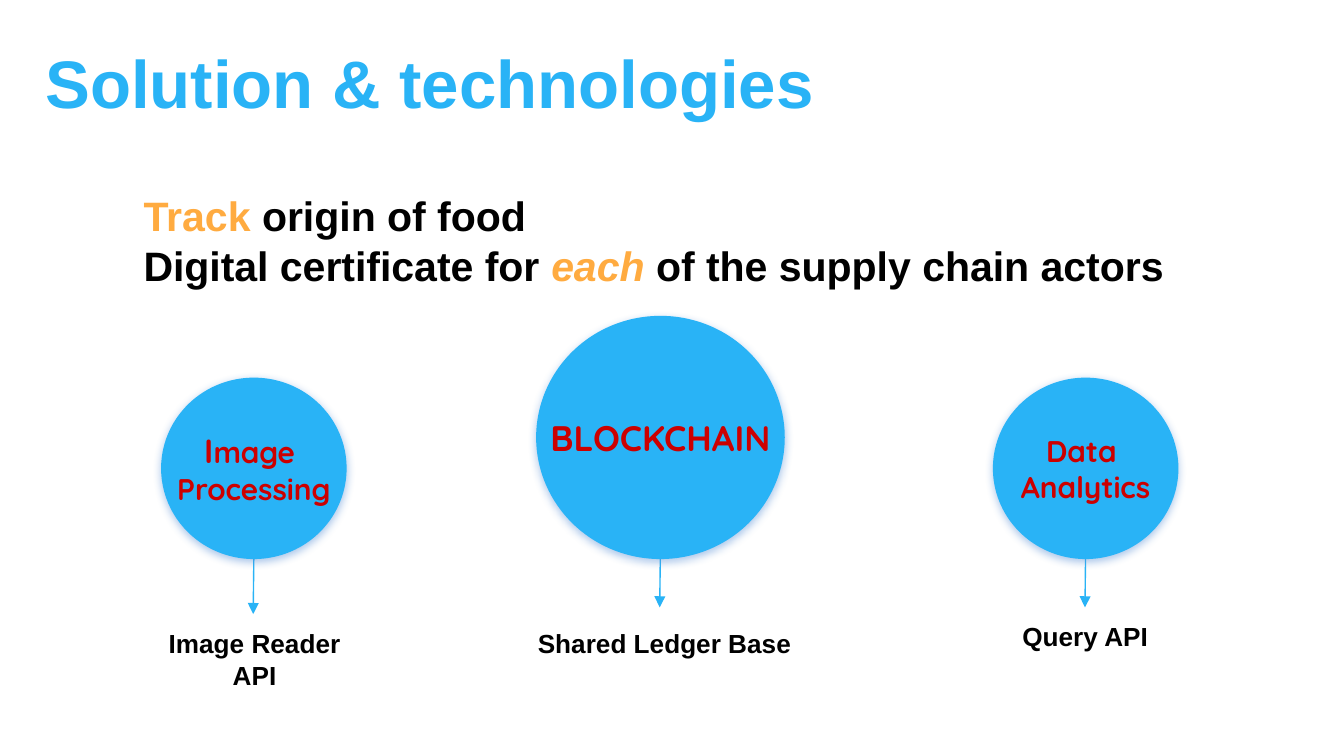
import pptx
import pptx.util
import pptx.dml.color
import pptx.enum.shapes
import pptx.enum.text
import pptx.oxml
import pptx.oxml.ns
from lxml import etree

Pt = pptx.util.Pt
ALIGN = pptx.enum.text.PP_ALIGN
ANCHOR = pptx.enum.text.MSO_ANCHOR

THEME = {
    "blue": "29B3F6", "orange": "FFAB40", "red": "CC0000", "black": "000000",
    "shadow": "538CD5", "body_font": "Arial", "circle_font": "Quicksand",
    "title": 36, "lead": 22, "hub": 19, "initial": 18, "circle": 16, "tech": 14,
}

# Paragraphs are lists of (text, run overrides).
TITLE = [[("Solution & technologies", {})]]
LEAD = [
    [("Track ", {"color": "orange"}), ("origin of food", {})],
    [("Digital certificate for ", {}), ("each", {"color": "orange", "italic": True}),
     (" of the supply chain actors", {})],
]
PILLARS = [
    {"center": 136, "size": (99.4, 97.2), "arrow": (268.6, 329),
     "label": [[("I", {"size": "initial"}), ("mage ", {})], [("Processing", {})]],
     "tech": "Image Reader API", "tech_box": (136.4, 329, 133)},
    {"center": 353.8, "size": (133.2, 130.3), "arrow": (265.7, 325.4),
     "label": [[("BLOCKCHAIN", {"size": "hub"})]],
     "tech": "Shared Ledger Base", "tech_box": (356, 329, 165)},
    {"center": 581.6, "size": (99.4, 97.2), "arrow": (265.7, 325.4),
     "label": [[("Data ", {})], [(" Analytics ", {})]],
     "tech": "Query API", "tech_box": (581.4, 325.4, 113)},
]
CIRCLE_BOTTOM = 299.5
LABEL_W, LABEL_H = 175, 63.4
TECH_H = 35.3


def rgb(name):
    """Return a theme colour."""
    return pptx.dml.color.RGBColor.from_string(THEME[name])


def add_text(slide, box, paragraphs, *, size, color="black", font="body_font",
             italic=False, align=ALIGN.LEFT, anchor=ANCHOR.TOP):
    """Add a bold text box; run overrides win over the given format."""
    tf = slide.shapes.add_textbox(*map(Pt, box)).text_frame
    tf.word_wrap = True
    tf.vertical_anchor = anchor
    tf.margin_left = tf.margin_right = tf.margin_top = tf.margin_bottom = Pt(7.2)
    for i, runs in enumerate(paragraphs):
        p = tf.add_paragraph() if i else tf.paragraphs[0]
        p.alignment = align
        for text, own in runs:
            r = p.add_run()
            r.text = text
            r.font.name = THEME[font]
            r.font.size = Pt(THEME[own.get("size", size)])
            r.font.bold = True
            r.font.italic = own.get("italic", italic)
            r.font.color.rgb = rgb(own.get("color", color))


def add_arrow(slide, center, top, bottom):
    """Add a thin, slightly slanted downward arrow."""
    sp = slide.shapes.add_connector(
        pptx.enum.shapes.MSO_CONNECTOR.STRAIGHT,
        Pt(center + 0.35), Pt(top), Pt(center - 0.35), Pt(bottom))
    sp.line.color.rgb = rgb("blue")
    sp.line.width = Pt(0.75)
    etree.SubElement(sp.line._get_or_add_ln(), pptx.oxml.ns.qn("a:tailEnd"),
                     type="triangle")
    etree.SubElement(sp._element.spPr, pptx.oxml.ns.qn("a:effectLst"))


def add_circle(slide, center, width, height):
    """Add a circle with a soft shadow, standing on the common base line."""
    sp = slide.shapes.add_shape(
        pptx.enum.shapes.MSO_SHAPE.OVAL, Pt(center - width / 2),
        Pt(CIRCLE_BOTTOM - height), Pt(width), Pt(height))
    sp.fill.solid()
    sp.fill.fore_color.rgb = rgb("blue")
    sp.line.fill.background()
    sp.shadow.inherit = False
    effects = sp._element.spPr.find(pptx.oxml.ns.qn("a:effectLst"))
    effects.append(pptx.oxml.parse_xml(
        f'<a:outerShdw {pptx.oxml.ns.nsdecls("a")} blurRad="{Pt(4.5)}" '
        f'dist="{Pt(1.5)}" dir="5400000" algn="bl" rotWithShape="0">'
        f'<a:srgbClr val="{THEME["shadow"]}"><a:alpha val="47000"/></a:srgbClr>'
        '</a:outerShdw>'))


def add_pillar(slide, pillar):
    """Add one circle with its label, arrow and technology."""
    center, (width, height) = pillar["center"], pillar["size"]
    add_arrow(slide, center, *pillar["arrow"])
    add_circle(slide, center, width, height)
    middle = CIRCLE_BOTTOM - height / 2
    add_text(slide, (center - LABEL_W / 2, middle - LABEL_H / 2, LABEL_W, LABEL_H),
             pillar["label"], size="circle", color="red", font="circle_font",
             align=ALIGN.CENTER, anchor=ANCHOR.MIDDLE)
    tech_center, top, tech_w = pillar["tech_box"]
    add_text(slide, (tech_center - tech_w / 2, top, tech_w, TECH_H),
             [[(pillar["tech"], {})]], size="tech", align=ALIGN.CENTER)


prs = pptx.Presentation()
prs.slide_width, prs.slide_height = Pt(720), Pt(405)
slide = prs.slides.add_slide(prs.slide_layouts[6])
add_text(slide, (17.3, 15.1, 577.4, 67.7), TITLE, size="title", color="blue")
add_text(slide, (69.8, 95, 589, 112.3), LEAD, size="lead")
for pillar in PILLARS:
    add_pillar(slide, pillar)
prs.save("out.pptx")
